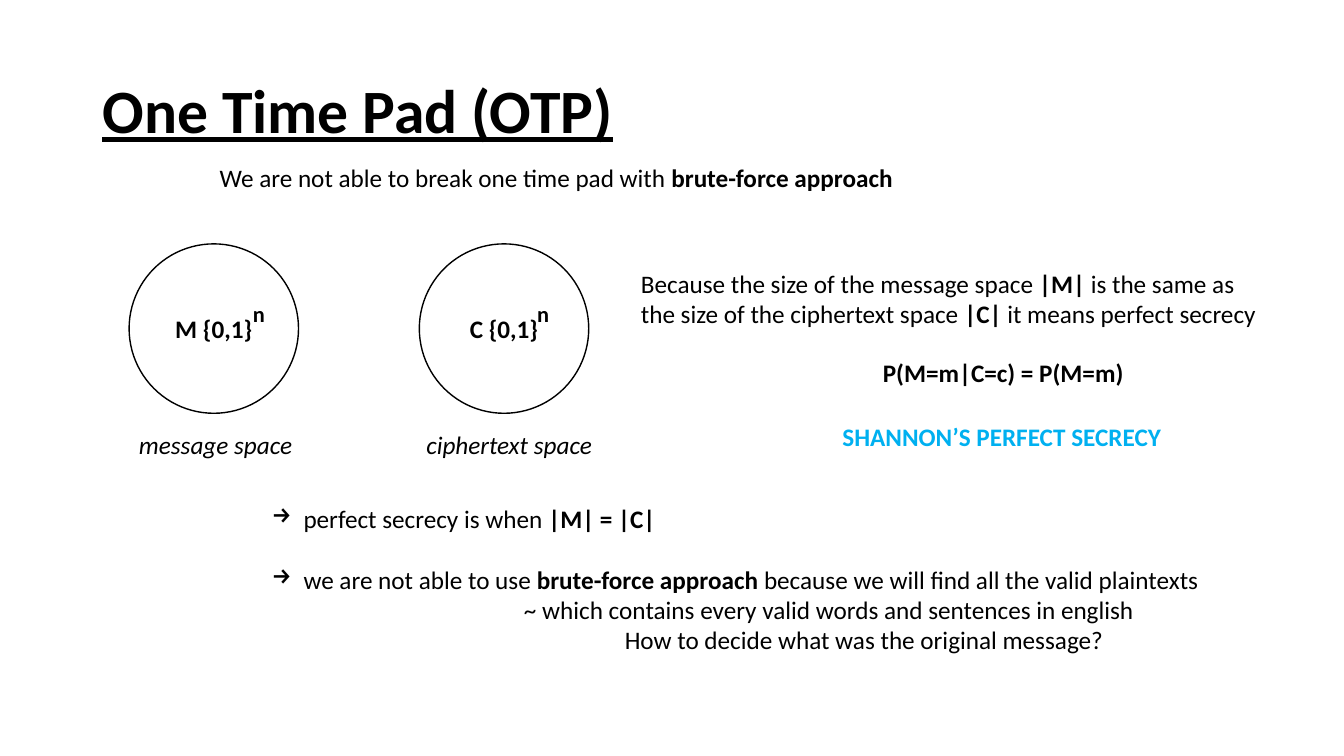
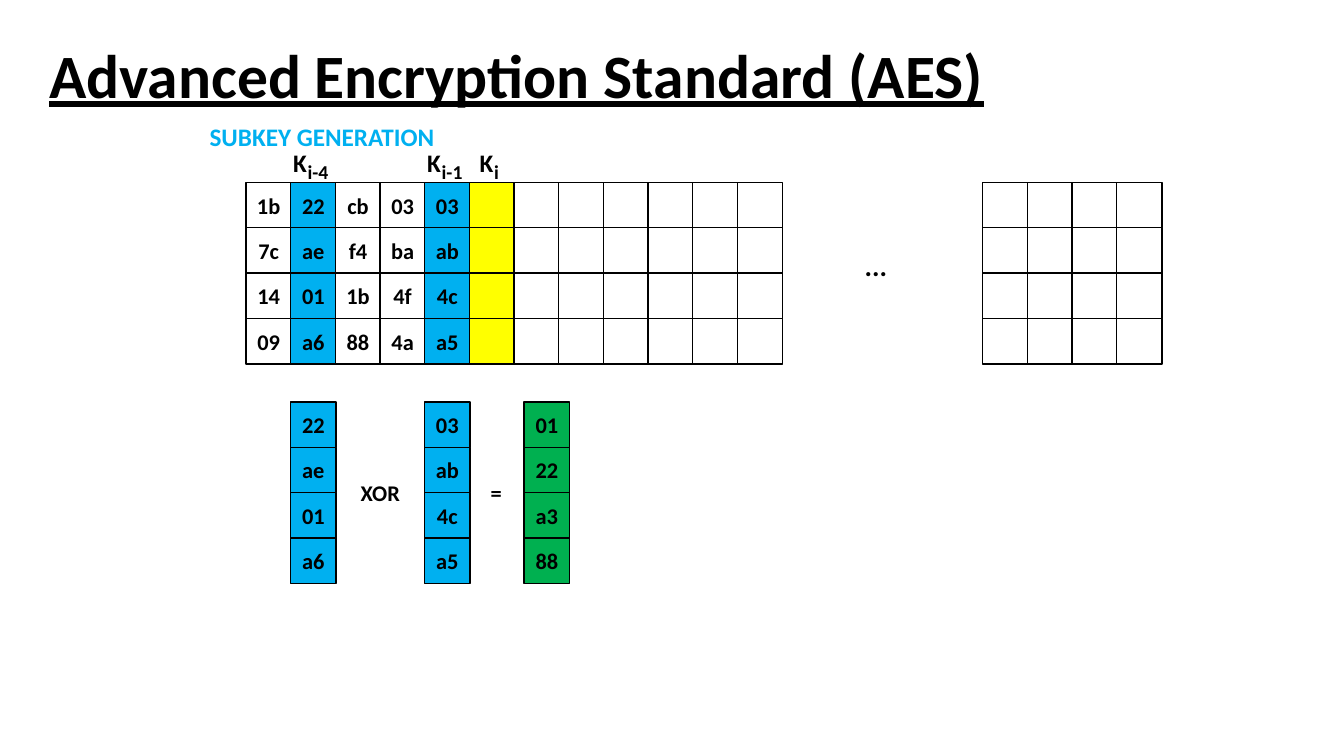
from dataclasses import dataclass

from lxml import etree
from pptx import Presentation
from pptx.dml.color import RGBColor
from pptx.enum.shapes import MSO_SHAPE as Preset
from pptx.enum.text import MSO_ANCHOR as Anchor, MSO_AUTO_SIZE as AutoSize, PP_ALIGN as Align
from pptx.oxml.ns import qn
from pptx.util import Pt


@dataclass(frozen=True)
class Theme:
    font: str = "Calibri"
    ink: RGBColor = RGBColor(0, 0, 0)
    paper: RGBColor = RGBColor(255, 255, 255)
    blue: RGBColor = RGBColor(0x00, 0xB0, 0xF0)
    yellow: RGBColor = RGBColor(0xFF, 0xFF, 0x00)
    green: RGBColor = RGBColor(0x00, 0xB0, 0x50)
    title: int = 44
    dots: int = 20
    body: int = 18
    cell: int = 16
    index: int = 14


THEME = Theme()
CELL = 32.4
COLUMN_STEP = 31.9
KEY_LEFT, KEY_TOP = 175.7, 130.3
KEY_BYTES = [
    ["1b", "22", "cb", "03", "03"],
    ["7c", "ae", "f4", "ba", "ab"],
    ["14", "01", "1b", "4f", "4c"],
    ["09", "a6", "88", "4a", "a5"],
]


@dataclass(frozen=True)
class Line:
    """One paragraph; text between ** marks is bold."""
    text: str
    bold: bool = False
    italic: bool = False
    color: RGBColor = THEME.ink
    size: int = THEME.body
    before: float = 0
    indent: float = 0
    bullet: str = ""


def style(para, size, color=THEME.ink, bold=False, italic=False):
    font = para.font
    font.name, font.size, font.color.rgb = THEME.font, Pt(size), color
    font.bold, font.italic = bold, italic


def write_line(para, line):
    if line.before:
        para.space_before = Pt(line.before)
    if line.indent:
        props = para._p.get_or_add_pPr()
        props.set("marL", str(Pt(line.indent)))
        if line.bullet:
            props.set("indent", str(-Pt(line.indent)))
            etree.SubElement(props, qn("a:buChar")).set("char", line.bullet)
    style(para, line.size, line.color, line.bold, line.italic)
    for number, text in enumerate(line.text.split("**")):
        if text:
            span = para.add_run()
            span.text = text
            if number % 2:
                span.font.bold = True


def add_text(page, left, top, width, height, *lines):
    box = page.shapes.add_textbox(Pt(left), Pt(top), Pt(width), Pt(height))
    frame = box.text_frame
    frame.word_wrap = False
    frame.auto_size = AutoSize.SHAPE_TO_FIT_TEXT
    for number, line in enumerate(lines):
        write_line(frame.add_paragraph() if number else frame.paragraphs[0], line)


def add_figure(page, preset, left, top, side, fill, text, size):
    """Add an outlined square or circle with centred bold text."""
    shape = page.shapes.add_shape(preset, Pt(left), Pt(top), Pt(side), Pt(side))
    shape.shadow.inherit = False
    shape.fill.solid()
    shape.fill.fore_color.rgb = fill
    shape.line.color.rgb = THEME.ink
    shape.line.width = Pt(1)
    if text:
        shape.text_frame.vertical_anchor = Anchor.MIDDLE
        para = shape.text_frame.paragraphs[0]
        para.alignment = Align.CENTER
        write_line(para, Line(text, bold=True, size=size))


def add_grid(page, left, top, rows, fills):
    """Add rows of byte cells, one fill for each column."""
    for row, values in enumerate(rows):
        for column, (value, fill) in enumerate(zip(values, fills)):
            add_figure(page, Preset.RECTANGLE, left + column * COLUMN_STEP,
                       top + row * CELL, CELL, fill, value, THEME.cell)


def add_subkey_label(page, left, index, index_width):
    add_text(page, left, 101.5, 24.5, 29, Line("K", bold=True))
    add_text(page, left + 10.3, 111, index_width, 24.5,
             Line(index, bold=True, size=THEME.index))


def add_page(deck, title, left, top):
    page = deck.slides.add_slide(deck.slide_layouts[5])
    holder = page.shapes.title
    holder.left, holder.top, holder.width, holder.height = map(Pt, (left, top, 828, 104.4))
    frame = holder.text_frame
    frame.text = title
    frame.vertical_anchor = Anchor.MIDDLE
    frame.auto_size = AutoSize.NONE
    para = frame.paragraphs[0]
    para.alignment = Align.LEFT
    para.line_spacing = 0.9
    style(para, THEME.title, bold=True)
    para.font.underline = True
    return page


def build_one_time_pad(deck):
    page = add_page(deck, "One Time Pad (OTP)", 66, 28.8)
    add_text(page, 149.8, 112.3, 507, 29,
             Line("We are not able to break one time pad with** brute-force approach**"))

    spaces = [
        ("M {0,1}", 92.2, 173.5, "message space", 92.2, 124.6),
        ("C {0,1}", 299.5, 376.6, "ciphertext space", 297.4, 134),
    ]
    for name, left, power_left, caption, caption_left, caption_width in spaces:
        add_figure(page, Preset.OVAL, left, 174.2, 121, THEME.paper, name, THEME.body)
        add_text(page, power_left, 211, 23, 26.6, Line("n", bold=True, size=THEME.cell))
        add_text(page, caption_left, 303.1, caption_width, 29, Line(caption, italic=True))

    add_text(page, 450.7, 187.9, 458.6, 138.2,
             Line("Because the size of the message space **|M|** is the same as"),
             Line("the size of the ciphertext space **|C| **it means perfect secrecy"),
             Line("SHANNON’S PERFECT SECRECY", bold=True, color=THEME.blue,
                  before=66, indent=144))
    add_text(page, 623.5, 252, 188.6, 29, Line("P(M=m|C=c) = P(M=m)", bold=True))
    add_text(page, 187.2, 355.7, 697, 116.6,
             Line("perfect secrecy is when **|M| = |C|**", indent=22.5, bullet="→"),
             Line("we are not able to use **brute-force approach **"
                  "because we will find all the valid plaintexts",
                  before=22, indent=22.5, bullet="→"),
             Line("~ which contains every valid words and sentences in english", indent=180),
             Line("How to decide what was the original message?", indent=252))


def build_aes(deck):
    page = add_page(deck, "Advanced Encryption Standard (AES)", 28.1, 3.6)
    add_text(page, 142.6, 82.8, 176.4, 29,
             Line("SUBKEY GENERATION", bold=True, color=THEME.blue))

    white, blue = THEME.paper, THEME.blue
    fills = [white, blue, white, white, blue, THEME.yellow] + [white] * 6
    rows = [values + [""] * (len(fills) - len(values)) for values in KEY_BYTES]
    add_grid(page, KEY_LEFT, KEY_TOP, rows, fills)
    add_grid(page, 702, KEY_TOP, [[""] * 4] * 4, [white] * 4)
    add_text(page, 610.6, 174.2, 31, 31.7, Line("...", bold=True, size=THEME.dots))

    for left, index, width in [(202.3, "i-4", 29.5), (298.1, "i-1", 29.5), (335.5, "i", 18)]:
        add_subkey_label(page, left, index, width)

    operands = [
        (KEY_LEFT + COLUMN_STEP, [row[1] for row in KEY_BYTES], blue),
        (KEY_LEFT + 4 * COLUMN_STEP, [row[4] for row in KEY_BYTES], blue),
        (374.4, ["01", "22", "a3", "88"], THEME.green),
    ]
    for left, values, fill in operands:
        add_grid(page, left, 287.1, [[value] for value in values], [fill])
    for left, width, sign in [(250.6, 43.2, "XOR"), (343.4, 22.3, "=")]:
        add_text(page, left, 338.4, width, 26.6, Line(sign, bold=True, size=THEME.cell))


def main():
    deck = Presentation()
    deck.slide_width, deck.slide_height = Pt(960), Pt(540)
    build_one_time_pad(deck)
    build_aes(deck)
    deck.save("out.pptx")


if __name__ == "__main__":
    main()
